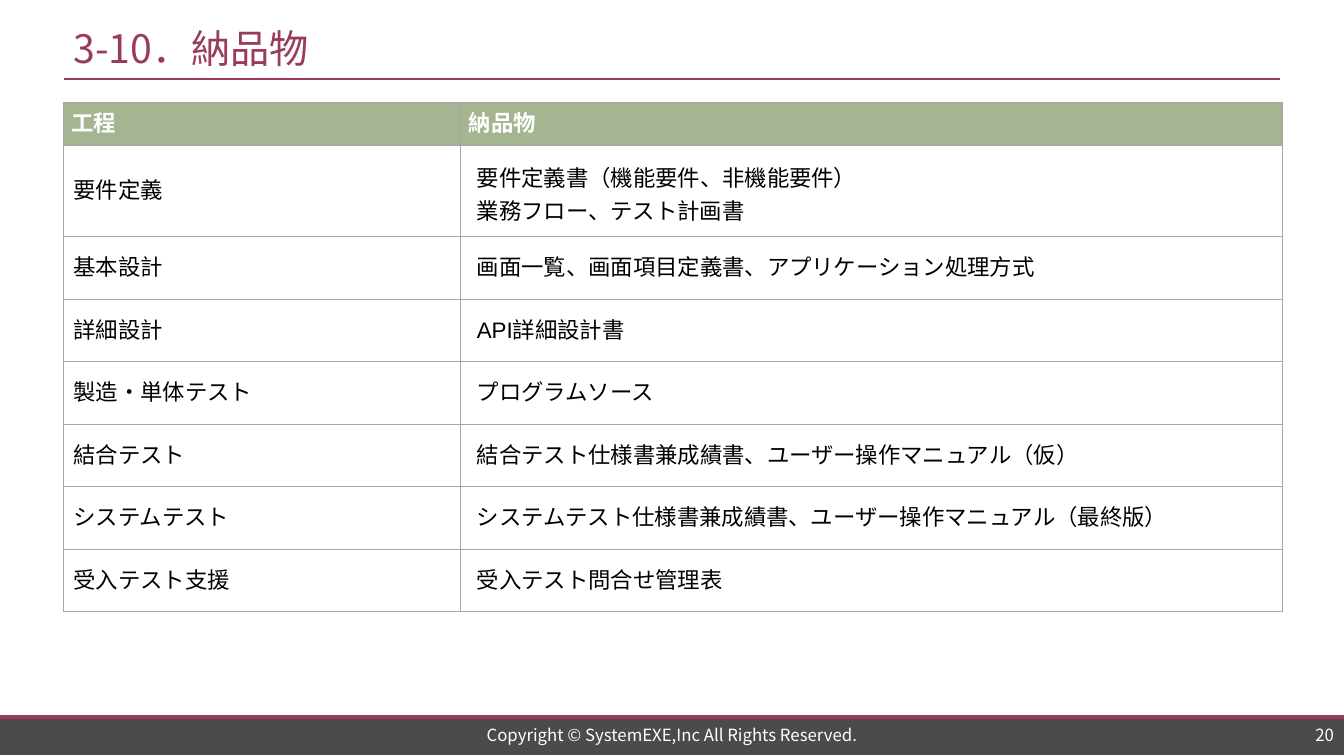
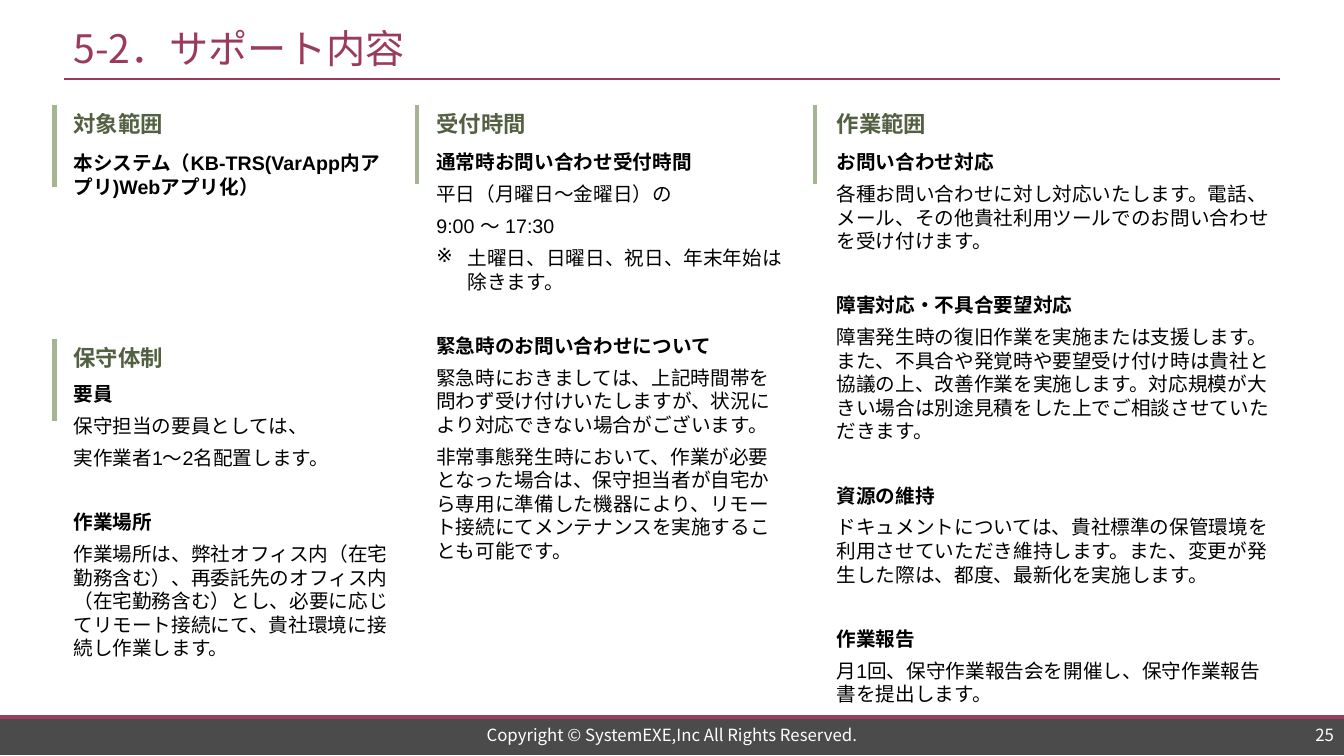
from lxml import etree
from pptx import Presentation
from pptx.dml.color import RGBColor
from pptx.enum.shapes import MSO_CONNECTOR as CONN, MSO_SHAPE as SHAPE
from pptx.enum.text import MSO_ANCHOR as ANCHOR, PP_ALIGN as ALIGN
from pptx.oxml.ns import qn
from pptx.util import Inches, Pt

COLORS = {"accent": "9A3B5D", "footer": "4B4B4B", "green": "A5B592",
          "heading": "536142", "border": "A6A6A6", "black": "000000",
          "white": "FFFFFF"}
RGB = {name: RGBColor.from_string(value) for name, value in COLORS.items()}
CJK, BODY = "Noto Sans CJK JP", "Arial"


def add_text(p, text, size, color, font=CJK, bold=False):
    r = p.add_run()
    r.text = text
    r.font.size, r.font.bold, r.font.name = Pt(size), bold, font
    r.font.color.rgb = RGB[color]
    etree.SubElement(r.font._element, qn("a:ea"), typeface=font)


def add_line(s, x1, y1, x2, y2, color, width):
    line = s.shapes.add_connector(CONN.STRAIGHT, Inches(x1), Inches(y1),
                                  Inches(x2), Inches(y2))
    line.line.color.rgb, line.line.width = RGB[color], Pt(width)
    etree.SubElement(line._element.spPr, qn("a:effectLst"))


prs = Presentation()
prs.slide_width, prs.slide_height = Inches(13.33), Inches(7.5)

# Shared frame: footer band, rules, title, copyright and page number
slides = []
for title, page in [("3-10．納品物", "20"), ("5-2．サポート内容", "25")]:
    s = prs.slides.add_slide(prs.slide_layouts[6])
    slides.append(s)
    band = s.shapes.add_shape(SHAPE.RECTANGLE, 0, Inches(7.1),
                              Inches(13.33), Inches(0.39))
    band.shadow.inherit = False
    band.fill.solid()
    band.fill.fore_color.rgb = RGB["footer"]
    band.line.fill.background()
    add_line(s, 0, 7.11, 13.33, 7.11, "accent", 2.75)
    add_line(s, 0.63, 0.78, 12.7, 0.78, "accent", 1.5)
    for x, y, w, h, text, size, color, align in [
            (0.63, 0.2, 12.07, 0.55, title, 28, "accent", ALIGN.LEFT),
            (3.32, 7.17, 6.69, 0.24,
             "Copyright © SystemEXE,Inc All Rights Reserved.",
             12, "white", ALIGN.CENTER),
            (11.76, 7.17, 1.57, 0.24, page, 12, "white", ALIGN.RIGHT)]:
        tf = s.shapes.add_textbox(Inches(x), Inches(y), Inches(w), Inches(h)).text_frame
        tf.word_wrap, tf.vertical_anchor = True, ANCHOR.MIDDLE
        tf.paragraphs[0].alignment = align
        add_text(tf.paragraphs[0], text, size, color)

# Deliverables table
deliverables = [
    ("工程", ["納品物"]),
    ("要件定義", ["要件定義書（機能要件、非機能要件）", "業務フロー、テスト計画書"]),
    ("基本設計", ["画面一覧、画面項目定義書、アプリケーション処理方式"]),
    ("詳細設計", ["API詳細設計書"]),
    ("製造・単体テスト", ["プログラムソース"]),
    ("結合テスト", ["結合テスト仕様書兼成績書、ユーザー操作マニュアル（仮）"]),
    ("システムテスト", ["システムテスト仕様書兼成績書、ユーザー操作マニュアル（最終版）"]),
    ("受入テスト支援", ["受入テスト問合せ管理表"]),
]
heights = [0.42, 0.91] + [0.62] * 6
table = slides[0].shapes.add_table(
    len(deliverables), 2, Inches(0.63), Inches(1.02),
    Inches(12.09), Inches(sum(heights))).table
table.horz_banding = False
table.columns[0].width, table.columns[1].width = Inches(3.94), Inches(8.15)
for i, (phase, items) in enumerate(deliverables):
    header = i == 0
    table.rows[i].height = Inches(heights[i])
    for j, lines in enumerate([[phase], items]):
        cell = table.cell(i, j)
        cell.vertical_anchor = ANCHOR.MIDDLE
        side = 0.08 if header else (0.1, 0.16)[j]
        cell.margin_left = cell.margin_right = Inches(side)
        cell.margin_top = cell.margin_bottom = Inches(0.05 if header else 0.04)
        tcPr = cell._tc.get_or_add_tcPr()
        for edge in ("a:lnL", "a:lnR", "a:lnT", "a:lnB"):
            ln = etree.SubElement(tcPr, qn(edge), w=str(Pt(1)))
            fill = etree.SubElement(ln, qn("a:solidFill"))
            etree.SubElement(fill, qn("a:srgbClr"), val=COLORS["border"])
        if header:
            cell.fill.solid()
            cell.fill.fore_color.rgb = RGB["green"]
        else:
            cell.fill.background()
        tf = cell.text_frame
        for n, text in enumerate(lines):
            p = tf.add_paragraph() if n else tf.paragraphs[0]
            if len(lines) > 1:
                p.line_spacing = Pt(23.5)
            add_text(p, text, 16, "white" if header else "black", BODY, header)

# Support sections: bar x, text x, top, bar height, body top, body size, heading,
# paragraphs (h = subheading, p = plain, n = note)
sections = [
    (0.54, 0.63, 1.04, 0.82, 1.45, 3.32, 0.41, "対象範囲", [
        ("h", "本システム（KB-TRS(VarApp内アプリ)Webアプリ化）")]),
    (0.54, 0.63, 3.36, 0.82, 3.74, 3.32, 3.13, "保守体制", [
        ("h", "要員"),
        ("p", "保守担当の要員としては、"),
        ("p", "実作業者1～2名配置します。"),
        ("h", "作業場所"),
        ("p", "作業場所は、弊社オフィス内（在宅勤務含む）、再委託先のオフィス内（在宅勤務含む）とし、"
              "必要に応じてリモート接続にて、貴社環境に接続し作業します。")]),
    (4.14, 4.23, 1.04, 0.79, 1.44, 3.66, 5.43, "受付時間", [
        ("h", "通常時お問い合わせ受付時間"),
        ("p", "平日（月曜日～金曜日）の"),
        ("p", "9:00 ～ 17:30"),
        ("n", "土曜日、日曜日、祝日、年末年始は除きます。"),
        ("h", "緊急時のお問い合わせについて"),
        ("p", "緊急時におきましては、上記時間帯を問わず受け付けいたしますが、"
              "状況により対応できない場合がございます。"),
        ("p", "非常事態発生時において、作業が必要となった場合は、保守担当者が自宅から専用に準備した機器により、"
              "リモート接続にてメンテナンスを実施することも可能です。")]),
    (8.08, 8.2, 1.04, 0.79, 1.44, 4.51, 5.43, "作業範囲", [
        ("h", "お問い合わせ対応"),
        ("p", "各種お問い合わせに対し対応いたします。電話、メール、"
              "その他貴社利用ツールでのお問い合わせを受け付けます。"),
        ("h", "障害対応・不具合要望対応"),
        ("p", "障害発生時の復旧作業を実施または支援します。また、不具合や発覚時や要望受け付け時は"
              "貴社と協議の上、改善作業を実施します。対応規模が大きい場合は"
              "別途見積をした上でご相談させていただきます。"),
        ("h", "資源の維持"),
        ("p", "ドキュメントについては、貴社標準の保管環境を利用させていただき維持します。"
              "また、変更が発生した際は、都度、最新化を実施します。"),
        ("h", "作業報告"),
        ("p", "月1回、保守作業報告会を開催し、保守作業報告書を提出します。")]),
]
s = slides[1]
for bar_x, x, top, bar_h, body_y, w, h, heading, paragraphs in sections:
    add_line(s, bar_x, top, bar_x, top + bar_h, "green", 3)
    tf = s.shapes.add_textbox(Inches(x), Inches(top), Inches(w), Inches(0.38)).text_frame
    tf.word_wrap = True
    add_text(tf.paragraphs[0], heading, 16, "heading", bold=True)
    tf = s.shapes.add_textbox(Inches(x), Inches(body_y), Inches(w), Inches(h)).text_frame
    tf.word_wrap = True
    for n, (kind, text) in enumerate(paragraphs):
        p = tf.add_paragraph() if n else tf.paragraphs[0]
        p.line_spacing = Pt(16.8)
        if n:
            p.space_before = Pt(29 if kind == "h" else 6)
        if kind == "n":
            pPr = p._p.get_or_add_pPr()
            pPr.set("marL", str(Inches(0.31)))
            pPr.set("indent", str(-Inches(0.31)))
            etree.SubElement(pPr, qn("a:buChar"), char="※")
        add_text(p, text, 14, "black", BODY, kind == "h")

prs.save("out.pptx")
